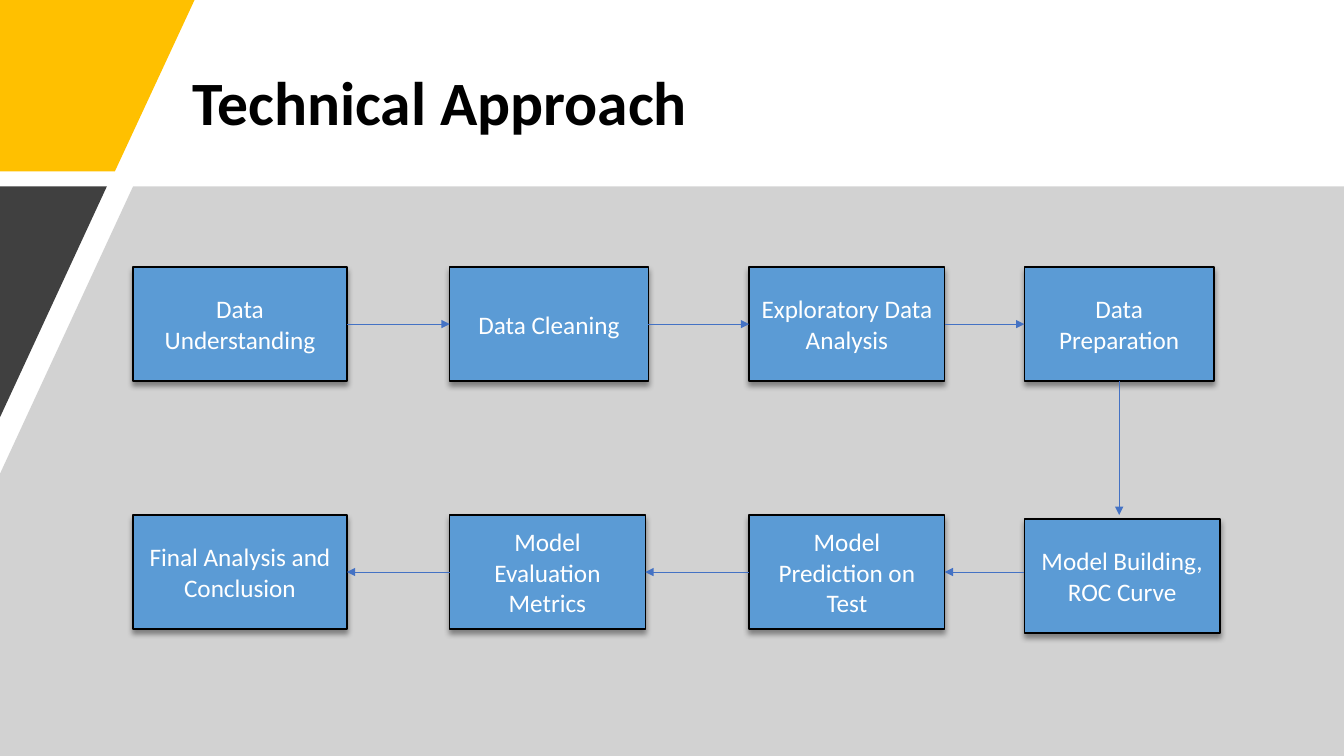
from itertools import pairwise
from lxml import etree
from pptx import Presentation, util as u
from pptx.dml.color import RGBColor
from pptx.enum import shapes, text
from pptx.oxml import parse_xml
from pptx.oxml.ns import nsdecls, qn

TITLE = "Technical Approach"
COLUMNS = [1.32, 4.46, 7.43, 10.16]
TOP_ROW, BOTTOM_ROW, BOX_H = 2.65, 5.11, 1.13
STEPS = [
    ("Data Understanding", 0, TOP_ROW, 2.12),
    ("Data Cleaning", 1, TOP_ROW, 1.97),
    ("Exploratory Data Analysis", 2, TOP_ROW, 1.94),
    ("Data Preparation", 3, TOP_ROW, 1.88),
    ("Model Building, ROC Curve", 3, BOTTOM_ROW + 0.04, 1.94),
    ("Model Prediction on Test", 2, BOTTOM_ROW, 1.94),
    ("Model Evaluation Metrics", 1, BOTTOM_ROW, 1.94),
    ("Final Analysis and Conclusion", 0, BOTTOM_ROW, 2.12),
]
FONT = "Calibri"
BLACK = RGBColor(0x00, 0x00, 0x00)
WHITE = RGBColor(0xFF, 0xFF, 0xFF)
YELLOW = RGBColor(0xFF, 0xC0, 0x00)
GRAY = RGBColor(0xA6, 0xA6, 0xA6)
DARK = RGBColor(0x40, 0x40, 0x40)
BOX_BLUE = RGBColor(0x5B, 0x9B, 0xD5)
ARROW_BLUE = RGBColor(0x44, 0x72, 0xC4)
PANELS = [
    ([(0, 0), (1.93, 0), (1.14, 1.7), (0, 1.7)], YELLOW, 100),
    ([(1.32, 1.85), (13.33, 1.85), (13.33, 7.5), (0, 7.5), (0, 4.7)], GRAY, 50),
    ([(0, 1.85), (1.06, 1.85), (0, 4.14)], DARK, 100),
]
SHADOW = (
    f'<a:effectLst {nsdecls("a")}>'
    '<a:outerShdw blurRad="50800" dist="38100" dir="5400000" algn="t" rotWithShape="0">'
    '<a:srgbClr val="000000"><a:alpha val="40000"/></a:srgbClr>'
    '</a:outerShdw></a:effectLst>'
)


def write(sp, content, size, color, bold=False, align=text.PP_ALIGN.LEFT, spacing=1.0):
    tf = sp.text_frame
    tf.word_wrap = True
    tf.vertical_anchor = text.MSO_ANCHOR.MIDDLE
    p = tf.paragraphs[0]
    p.alignment = align
    p.line_spacing = spacing
    r = p.add_run()
    r.text = content
    r.font.name = FONT
    r.font.size = u.Pt(size)
    r.font.bold = bold
    r.font.color.rgb = color


def add_panel(s, points, color, opacity):
    pts = [(u.Inches(x), u.Inches(y)) for x, y in points]
    fb = s.shapes.build_freeform(*pts[0], scale=1.0)
    fb.add_line_segments(pts[1:], close=True)
    sp = fb.convert_to_shape()
    sp.shadow.inherit = False
    sp.line.fill.background()
    sp.fill.solid()
    sp.fill.fore_color.rgb = color
    if opacity < 100:
        clr = sp._element.spPr.find(qn("a:solidFill"))[0]
        etree.SubElement(clr, qn("a:alpha"), val=str(opacity * 1000))


def add_box(s, label, col, top, width):
    sp = s.shapes.add_shape(shapes.MSO_SHAPE.RECTANGLE, u.Inches(COLUMNS[col]),
                            u.Inches(top), u.Inches(width), u.Inches(BOX_H))
    sp.fill.solid()
    sp.fill.fore_color.rgb = BOX_BLUE
    sp.line.color.rgb = BLACK
    sp.line.width = u.Pt(1)
    sp._element.spPr.append(parse_xml(SHADOW))
    write(sp, label, 18, WHITE, align=text.PP_ALIGN.CENTER)


def add_arrow(s, x1, y1, x2, y2):
    cx = s.shapes.add_connector(shapes.MSO_CONNECTOR.STRAIGHT,
                                *(u.Inches(v) for v in (x1, y1, x2, y2)))
    cx.line.color.rgb = ARROW_BLUE
    cx.line.width = u.Pt(0.5)
    etree.SubElement(cx.line._get_or_add_ln(), qn("a:tailEnd"), type="triangle")
    etree.SubElement(cx._element.spPr, qn("a:effectLst"))


prs = Presentation()
prs.slide_width, prs.slide_height = u.Inches(13.33), u.Inches(7.5)
s = prs.slides.add_slide(prs.slide_layouts[6])

title = s.shapes.add_textbox(u.Inches(1.81), u.Inches(0.4), u.Inches(10.24), u.Inches(1.3))
write(title, TITLE, 44, BLACK, bold=True, spacing=0.9)
for panel in PANELS:
    add_panel(s, *panel)
for step in STEPS:
    add_box(s, *step)

for (_, col, top, width), (_, next_col, _, next_width) in pairwise(STEPS):
    left, next_left = COLUMNS[col], COLUMNS[next_col]
    row = TOP_ROW if top == TOP_ROW else BOTTOM_ROW
    mid = row + BOX_H / 2
    if next_col > col:
        add_arrow(s, left + width, mid, next_left, mid)
    elif next_col < col:
        add_arrow(s, left, mid, next_left + next_width, mid)
    else:
        center = left + width / 2
        add_arrow(s, center, top + BOX_H, center, BOTTOM_ROW)

prs.save("out.pptx")
